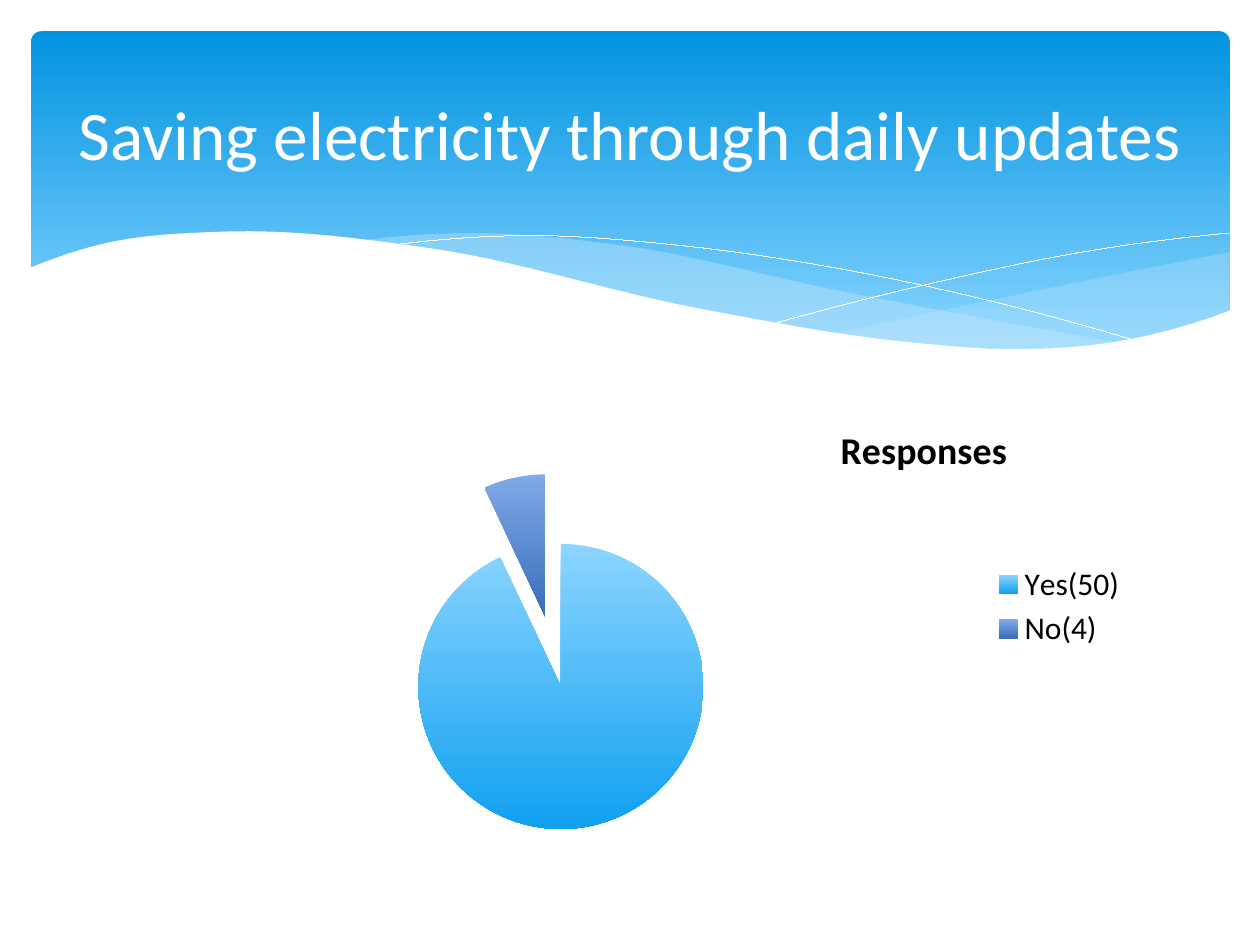
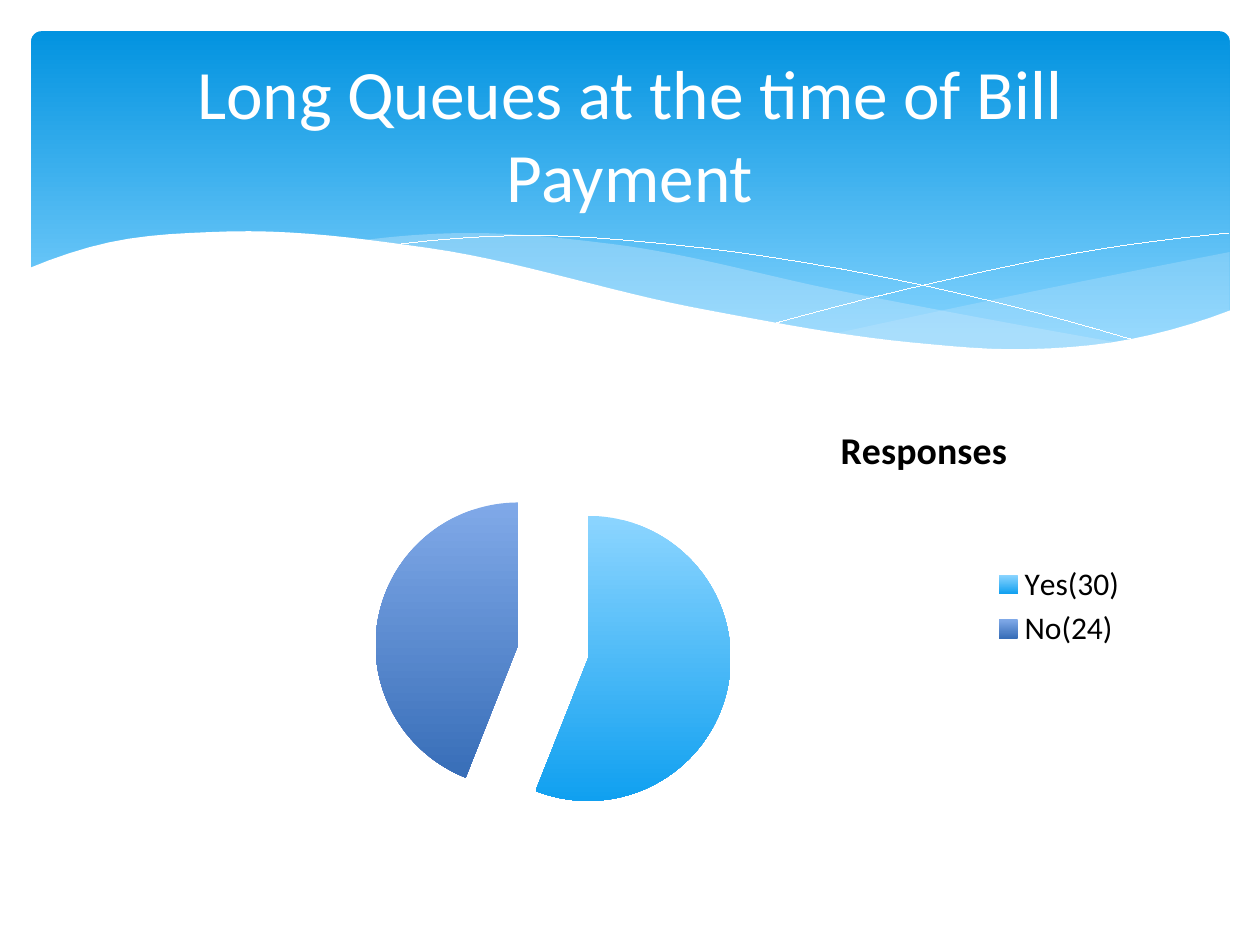
from pptx import Presentation
from pptx.chart.data import CategoryChartData
from pptx.dml.color import RGBColor
from pptx.enum.chart import XL_CHART_TYPE as ChartType, XL_LEGEND_POSITION as LegendPosition
from pptx.enum.shapes import MSO_SHAPE as Shape
from pptx.enum.text import MSO_ANCHOR as Anchor, MSO_AUTO_SIZE as AutoSize, PP_ALIGN as Align
from pptx.oxml import parse_xml
from pptx.oxml.ns import nsdecls, qn
from pptx.util import Cm, Pt

COLOURS = {
    "white": "FFFFFF", "black": "000000", "mist": "C6E7FC",
    "band top": "0293E0", "band bottom": "83D3FE",
    "yes top": "8CD5FF", "yes bottom": "10A0F0",
    "no top": "80A9E8", "no bottom": "386EB8",
}
TITLE_ONLY = 5
STEPS_PER_CURVE = 60
UNITS_PER_CM = 1000
PAPER_BOTTOM = 8.36

# Each curve is smooth through these few knots (x, y), in centimetres
PAPER_EDGE = [(0.58, 5.41), (1.93, 4.95), (4.5, 4.67), (8.64, 5), (14.1, 6.22),
              (18.44, 6.91), (20.55, 7.04), (22.83, 6.83), (24.82, 6.25)]
RIGHT_CREST = [(16.8, 6.73), (21.87, 5.66), (24.79, 5.08)]
MIDDLE_CREST = [(7.26, 4.85), (9.17, 4.7), (12.42, 4.93), (16.97, 5.87), (22.68, 6.93)]
FALLING_LINE = [(7.85, 4.95), (10.57, 4.75), (13.54, 4.93), (16.89, 5.41),
                (20.19, 6.12), (23.04, 6.91)]
RISING_LINE = [(15.57, 6.53), (19, 5.66), (22, 5.05), (24.77, 4.7)]


def colour(name):
    return RGBColor.from_string(COLOURS[name])


def apply(target, values):
    for name, value in values.items():
        setattr(target, name, value)


def knot_slopes(knots):
    """Return the slope at each knot, from the straight pieces on both sides."""
    gaps = [right[0] - left[0] for left, right in zip(knots, knots[1:])]
    pieces = [(right[1] - left[1]) / gap for left, right, gap in zip(knots, knots[1:], gaps)]
    inner = [
        (pieces[i] * gaps[i + 1] + pieces[i + 1] * gaps[i]) / (gaps[i] + gaps[i + 1])
        for i in range(len(gaps) - 1)
    ]
    return [2 * pieces[0] - inner[0], *inner, 2 * pieces[-1] - inner[-1]]


def height_at(knots, x):
    """Return y at x on the cubic Hermite curve through the knots."""
    slopes = knot_slopes(knots)
    i = max(i for i, knot in enumerate(knots[:-1]) if i == 0 or knot[0] <= x)
    (left, y_left), (right, y_right) = knots[i:i + 2]
    gap = right - left
    t = (x - left) / gap
    return (
        (1 + 2 * t) * (1 - t) ** 2 * y_left + t * (1 - t) ** 2 * gap * slopes[i]
        + t ** 2 * (3 - 2 * t) * y_right - t ** 2 * (1 - t) * gap * slopes[i + 1]
    )


def trace(knots, start=None, end=None):
    """Return evenly spaced points on a curve, over its whole width by default."""
    start = knots[0][0] if start is None else start
    end = knots[-1][0] if end is None else end
    step = (end - start) / STEPS_PER_CURVE
    xs = [start + step * i for i in range(STEPS_PER_CURVE + 1)]
    return [(x, height_at(knots, x)) for x in xs]


def fill_downwards(fill, top, bottom, end=1.0):
    fill.gradient()
    fill.gradient_angle = 270
    for stop, name, position in zip(fill.gradient_stops, (top, bottom), (0, end)):
        stop.position = position
        stop.color.rgb = colour(name)


def set_chart_layout(parent, index, **fractions):
    """Fix the place of a chart part, in fractions of the chart area."""
    for old_layout in parent.findall(qn("c:layout")):
        parent.remove(old_layout)
    target = '<c:layoutTarget val="inner"/>' if "w" in fractions else ""
    modes = '<c:xMode val="edge"/><c:yMode val="edge"/>'
    values = "".join(f'<c:{name} val="{value}"/>' for name, value in fractions.items())
    parent.insert(index, parse_xml(
        f'<c:layout {nsdecls("c")}><c:manualLayout>{target}{modes}{values}'
        '</c:manualLayout></c:layout>'))


class Deck:
    font = "Calibri"

    def __init__(self):
        self.presentation = Presentation()
        apply(self.presentation, {"slide_width": Cm(25.4), "slide_height": Cm(19.05)})
        self.slide = None

    def add_slide(self):
        layout = self.presentation.slide_layouts[TITLE_ONLY]
        self.slide = self.presentation.slides.add_slide(layout)
        self.add_banner()

    def format_font(self, font, size, name, bold=False):
        apply(font, {"name": self.font, "size": Pt(size), "bold": bold})
        font.color.rgb = colour(name)

    def add_banner(self):
        """Draw the blue band, its pale waves and lines, and the paper that cuts it off."""
        self.add_band()
        for crest, opacity in ((RIGHT_CREST, 29), (MIDDLE_CREST, 40)):
            paper_edge = trace(PAPER_EDGE, crest[0][0], crest[-1][0])
            self.add_area(trace(crest) + paper_edge[::-1], "mist", opacity)
        for knots in (FALLING_LINE, RISING_LINE):
            self.add_hairline(trace(knots))
        left, right = PAPER_EDGE[0][0], PAPER_EDGE[-1][0]
        paper_corners = [(right, PAPER_BOTTOM), (left, PAPER_BOTTOM)]
        self.add_area(trace(PAPER_EDGE) + paper_corners, "white")

    def add_band(self):
        band = self.slide.shapes.add_shape(
            Shape.ROUNDED_RECTANGLE, Cm(0.63), Cm(0.63), Cm(24.16), Cm(6.86))
        band.adjustments[0] = 0.03
        band.shadow.inherit = False
        band.line.fill.background()
        fill_downwards(band.fill, "band top", "band bottom", 0.9)

    def add_outline(self, points, close):
        """Add a freeform through points given in centimetres."""
        first, *others = [(round(x * UNITS_PER_CM), round(y * UNITS_PER_CM)) for x, y in points]
        builder = self.slide.shapes.build_freeform(*first, scale=Cm(1) / UNITS_PER_CM)
        builder.add_line_segments(others, close=close)
        shape = builder.convert_to_shape()
        shape.shadow.inherit = False
        return shape

    def add_area(self, points, name, opacity=100):
        area = self.add_outline(points, close=True)
        area.line.fill.background()
        area.fill.solid()
        area.fill.fore_color.rgb = colour(name)
        if opacity < 100:
            fill_colour = next(area.element.iter(qn("a:srgbClr")))
            fill_colour.append(parse_xml(f'<a:alpha {nsdecls("a")} val="{opacity * 1000}"/>'))

    def add_hairline(self, points):
        hairline = self.add_outline(points, close=False)
        hairline.fill.background()
        hairline.line.color.rgb = colour("white")
        # A width of 0 must be written out, or the theme's width applies
        next(hairline.element.iter(qn("a:ln"))).set("w", "0")

    def add_title(self, text):
        """Fill the title placeholder and bring it in front of everything."""
        title = self.slide.shapes.title
        apply(title, {"left": Cm(1.27), "top": Cm(0.94), "width": Cm(22.86), "height": Cm(3.48)})
        frame = title.text_frame
        frame.text = text
        apply(frame, {"word_wrap": True, "auto_size": AutoSize.NONE,
                      "vertical_anchor": Anchor.MIDDLE})
        paragraph = frame.paragraphs[0]
        paragraph.alignment = Align.CENTER
        self.format_font(paragraph.runs[0].font, 39.6, "white")
        title.element.getparent().append(title.element)

    def add_pie(self, name, shares):
        data = CategoryChartData()
        data.categories = list(shares)
        data.add_series(name, list(shares.values()))
        chart = self.slide.shapes.add_chart(
            ChartType.PIE, Cm(2.41), Cm(7.44), Cm(20.57), Cm(9.58), data).chart
        self.format_font(chart.font, 18, "black")
        apply(chart, {"has_title": True, "has_legend": True})
        apply(chart.legend, {"position": LegendPosition.RIGHT, "include_in_layout": False})

        heading = chart.chart_title.text_frame
        heading.text = name
        self.format_font(heading.paragraphs[0].runs[0].font, 21.6, "black", bold=True)

        plot = chart.plots[0]
        plot.vary_by_categories = True
        for index, answer in enumerate(("yes", "no")):
            slice_format = plot.series[0].points[index].format
            fill_downwards(slice_format.fill, f"{answer} top", f"{answer} bottom")
            slice_format.line.fill.background()
        first_point = chart.element.find(".//" + qn("c:dPt"))
        first_point.addprevious(parse_xml(f'<c:explosion {nsdecls("c")} val="25"/>'))

        set_chart_layout(chart.chart_title.element, 1, x=0.7, y=0.1)
        plot_area = chart.element.find(".//" + qn("c:plotArea"))
        set_chart_layout(plot_area, 0, x=0.25, y=0.22, w=0.35, h=0.75)


def main():
    deck = Deck()
    for title, shares in (
        ("Saving electricity through daily updates", {"Yes(50)": 93, "No(4)": 7}),
        ("Long Queues at the time of Bill Payment", {"Yes(30)": 56, "No(24)": 44}),
    ):
        deck.add_slide()
        deck.add_pie("Responses", shares)
        deck.add_title(title)
    deck.presentation.save("out.pptx")


if __name__ == "__main__":
    main()
